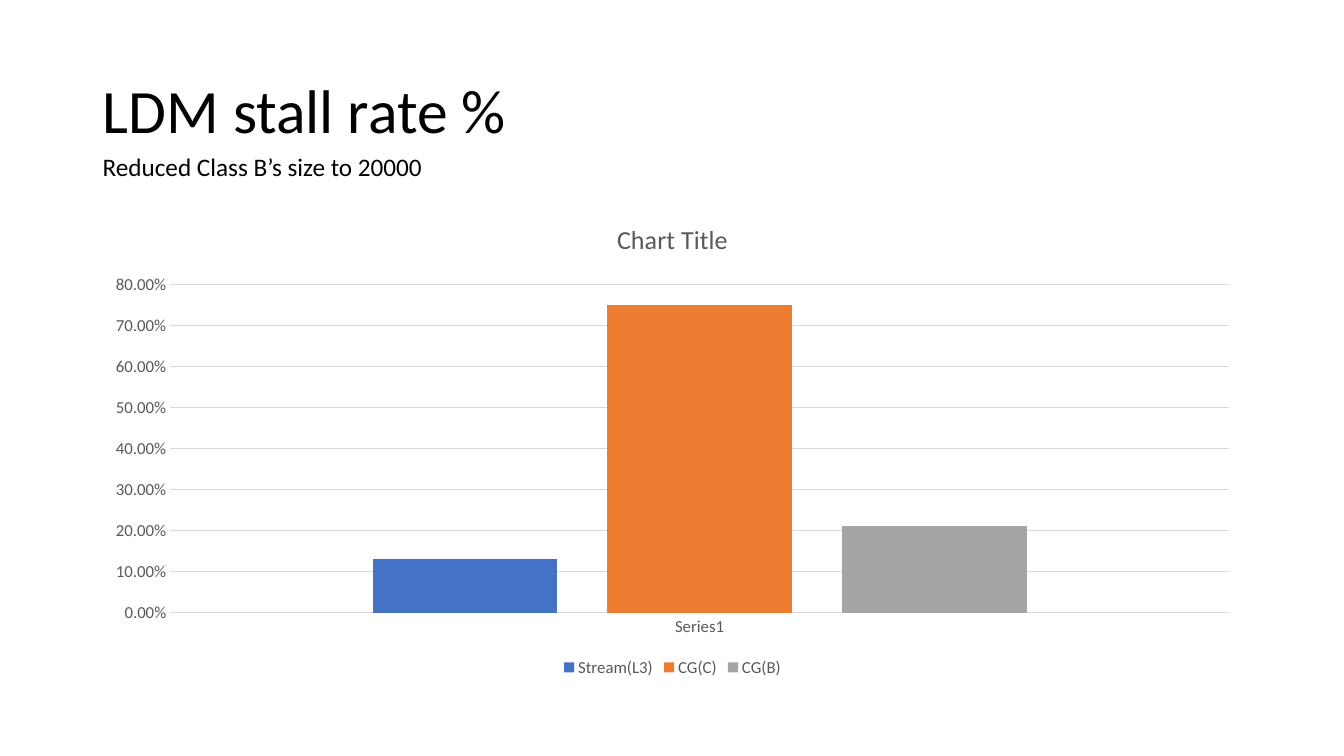
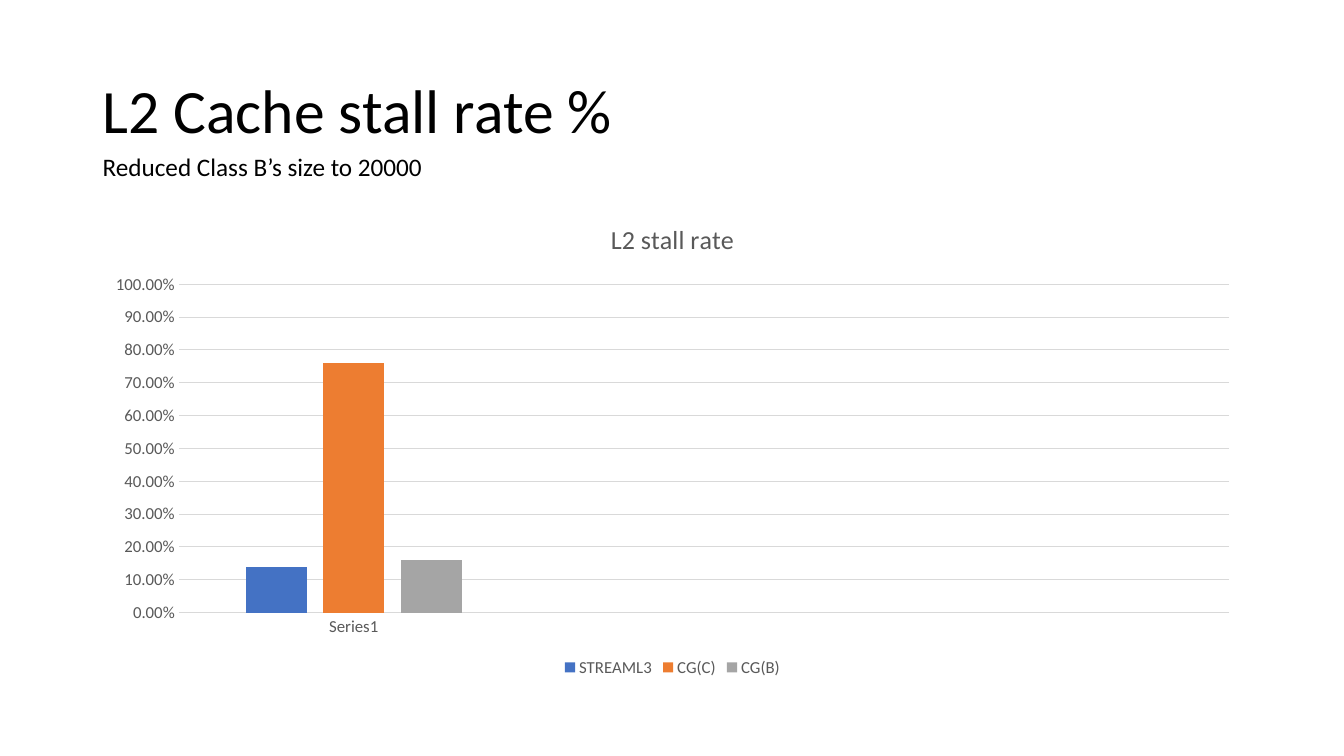
import pptx
import pptx.chart.data
import pptx.dml.color
import pptx.enum.chart
import pptx.enum.text
import pptx.util

PX = 9144
FONT = "Calibri"
BLACK = pptx.dml.color.RGBColor(0x00, 0x00, 0x00)
DARK_GRAY = pptx.dml.color.RGBColor(0x59, 0x59, 0x59)
LIGHT_GRAY = pptx.dml.color.RGBColor(0xD9, 0xD9, 0xD9)
BLUE = pptx.dml.color.RGBColor(0x44, 0x72, 0xC4)
ORANGE = pptx.dml.color.RGBColor(0xED, 0x7D, 0x31)
GRAY = pptx.dml.color.RGBColor(0xA5, 0xA5, 0xA5)
SERIES_COLORS = (BLUE, ORANGE, GRAY)

SLIDE_SIZE = (1333, 750)
TITLE_BOX = (92, 40, 1150, 145)
SUBTITLE_BOX = (92, 145, 1150, 40)
CHART_BOX = (92, 200, 1150, 476)

SUBTITLE = "Reduced Class B’s size to 20000"
SLIDES = (
    {
        "title": "LDM stall rate %",
        "chart_title": "Chart Title",
        "maximum": 0.8,
        "categories": ("Series1",),
        "series": {"Stream(L3)": (0.13,), "CG(C)": (0.75,), "CG(B)": (0.21,)},
    },
    {
        "title": "L2 Cache stall rate %",
        "chart_title": "L2 stall rate",
        "maximum": 1,
        "categories": ("Series1", "", ""),
        "series": {
            "STREAML3": (0.14, None, None),
            "CG(C)": (0.76, None, None),
            "CG(B)": (0.16, None, None),
        },
    },
)


def to_emu(box):
    return [length * PX for length in box]


def set_font(font, size, color):
    font.name = FONT
    font.size = pptx.util.Pt(size)
    font.bold = False
    font.color.rgb = color


def set_line(line):
    line.color.rgb = LIGHT_GRAY
    line.width = pptx.util.Pt(0.75)


def add_text(slide, box, text, size, anchor, line_spacing=1.0):
    frame = slide.shapes.add_textbox(*to_emu(box)).text_frame
    frame.word_wrap = True
    frame.vertical_anchor = anchor
    paragraph = frame.paragraphs[0]
    paragraph.text = text
    paragraph.line_spacing = line_spacing
    set_font(paragraph.font, size, BLACK)


def style_axis(axis):
    axis.major_tick_mark = pptx.enum.chart.XL_TICK_MARK.NONE
    axis.minor_tick_mark = pptx.enum.chart.XL_TICK_MARK.NONE
    set_font(axis.tick_labels.font, 12, DARK_GRAY)


def add_column_chart(slide, box, content):
    data = pptx.chart.data.CategoryChartData(number_format="0.00%")
    data.categories = content["categories"]
    for name, values in content["series"].items():
        data.add_series(name, values)
    chart = slide.shapes.add_chart(
        pptx.enum.chart.XL_CHART_TYPE.COLUMN_CLUSTERED, *to_emu(box), data
    ).chart
    set_font(chart.font, 10, BLACK)

    chart.has_title = True
    title = chart.chart_title.text_frame.paragraphs[0]
    title.text = content["chart_title"]
    set_font(title.font, 18.6, DARK_GRAY)

    chart.has_legend = True
    chart.legend.position = pptx.enum.chart.XL_LEGEND_POSITION.BOTTOM
    chart.legend.include_in_layout = False
    set_font(chart.legend.font, 12, DARK_GRAY)

    style_axis(chart.category_axis)
    set_line(chart.category_axis.format.line)

    value_axis = chart.value_axis
    style_axis(value_axis)
    value_axis.format.line.fill.background()
    value_axis.minimum_scale = 0
    value_axis.maximum_scale = content["maximum"]
    value_axis.major_unit = 0.1
    value_axis.tick_labels.number_format = "0.00%"
    value_axis.tick_labels.number_format_is_linked = False
    set_line(value_axis.major_gridlines.format.line)

    plot = chart.plots[0]
    plot.vary_by_categories = False
    plot.gap_width = 219
    plot.overlap = -27
    for series, color in zip(plot.series, SERIES_COLORS):
        series.format.fill.solid()
        series.format.fill.fore_color.rgb = color


def add_chart_slide(presentation, content):
    slide = presentation.slides.add_slide(presentation.slide_layouts[6])
    anchors = pptx.enum.text.MSO_ANCHOR
    add_text(slide, TITLE_BOX, content["title"], 44, anchors.MIDDLE, 0.9)
    add_text(slide, SUBTITLE_BOX, SUBTITLE, 18, anchors.TOP)
    add_column_chart(slide, CHART_BOX, content)


def main():
    presentation = pptx.Presentation()
    presentation.slide_width, presentation.slide_height = to_emu(SLIDE_SIZE)
    for content in SLIDES:
        add_chart_slide(presentation, content)
    presentation.save("out.pptx")


if __name__ == "__main__":
    main()
